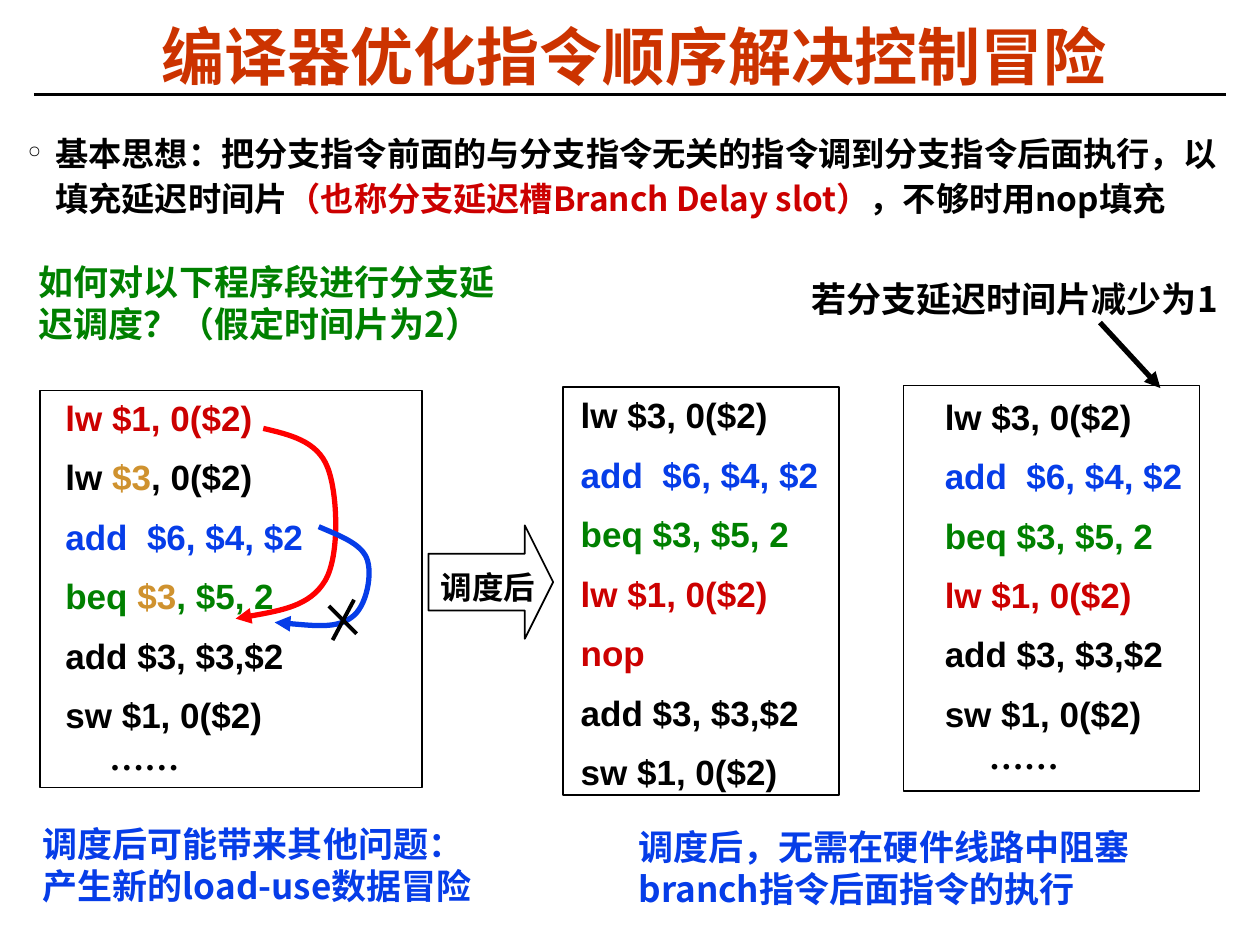
from lxml.etree import SubElement as Sub
from pptx import Presentation
from pptx.dml.color import RGBColor as RGB
from pptx.enum.shapes import MSO_CONNECTOR as Link, MSO_SHAPE as Shape
from pptx.enum.text import PP_ALIGN as Align
from pptx.oxml.ns import qn
from pptx.util import Inches, Pt

INK = {"black": "000000", "rust": "CC3300", "red": "CC0000", "green": "008000",
       "blue": "063DE8", "gold": "CF922F", "bright": "FF0000"}
SANS = "Noto Sans CJK SC"
LOAD1 = [("lw $1, 0($2)", "red")]
LOAD3 = [("lw $3, 0($2)", "black")]
SUM6 = [("add  $6, $4, $2", "blue")]
JUMP = [("beq $3, $5, 2", "green")]
TAIL = [[("add $3, $3,$2", "black")], [("sw $1, 0($2)", "black")]]
DOTS = [("……", "black")]
FIRST = [LOAD1,
         [("lw ", "black"), ("$3", "gold"), (", 0($2)", "black")],
         SUM6,
         [("beq ", "green"), ("$3", "gold"), (", $5, 2", "green")],
         *TAIL, DOTS]
SLOTS = [LOAD3, SUM6, JUMP, LOAD1, [("nop", "red")], *TAIL]
SHORT = [LOAD3, SUM6, JUMP, LOAD1, *TAIL, DOTS]


def color(name):
    return RGB.from_string(INK[name])


def frame(slide, box, inset=(0.1, 0.05)):
    text = slide.shapes.add_textbox(*map(Inches, box)).text_frame
    text.word_wrap = True
    text.margin_left = text.margin_right = Inches(inset[0])
    text.margin_top = text.margin_bottom = Inches(inset[1])
    return text


def fill_line(para, runs, size, face=SANS, east=SANS):
    font = para.font
    font.size, font.bold, font.name = Pt(size), True, face
    if len(runs) == 1:
        font.color.rgb = color(runs[0][1])
    Sub(para._p.pPr.find(qn("a:defRPr")), qn("a:ea"), typeface=east)
    for words, ink in runs:
        run = para.add_run()
        run.text = words
        if len(runs) > 1:
            run.font.color.rgb = color(ink)


def style(shape, ink, width):
    shape.line.color.rgb = color(ink)
    shape.line.width = Pt(width)


def arrow(shape):
    Sub(shape._element.spPr.find(qn("a:ln")), qn("a:tailEnd"), type="triangle")


def line(slide, start, end, width, head=False):
    link = slide.shapes.add_connector(Link.STRAIGHT, *map(Inches, start + end))
    style(link, "black", width)
    if head:
        arrow(link)
    Sub(link._element.spPr, qn("a:effectLst"))


def outline(slide, kind, box):
    shape = slide.shapes.add_shape(kind, *map(Inches, box))
    shape.shadow.inherit = False
    shape.fill.background()
    style(shape, "black", 1)
    return shape


def title(slide, box):
    para = frame(slide, box, (0.07, 0.03)).paragraphs[0]
    para.alignment = Align.CENTER
    para.line_spacing = Pt(41)
    fill_line(para, [("编译器优化指令顺序解决控制冒险", "rust")], 36, "Arial")
    line(slide, (0.27, 0.75), (9.73, 0.75), 1.5)


def idea(slide, box):
    para = frame(slide, box, (0.07, 0.03)).paragraphs[0]
    para.line_spacing = Pt(25.7)
    props = para._p.get_or_add_pPr()
    props.set("marL", str(Inches(0.22)))
    props.set("indent", str(Inches(-0.22)))
    Sub(props, qn("a:buChar"), char="°")
    fill_line(para, [
        ("基本思想：把分支指令前面的与分支指令无关的指令调到分支指令后面执行，以填充延迟时间片", "black"),
        ("（也称分支延迟槽Branch Delay slot）", "red"),
        ("，不够时用nop填充", "black")], 19)


def note(slide, box, words, ink):
    para = frame(slide, box).paragraphs[0]
    para.line_spacing = Pt(24)
    fill_line(para, [(words, ink)], 20)


def code(slide, box, rows, area):
    text = frame(slide, area)
    for i, runs in enumerate(rows):
        para = text.add_paragraph() if i else text.paragraphs[0]
        if runs is DOTS:
            para._p.get_or_add_pPr().set("marL", str(Inches(0.35)))
            fill_line(para, runs, 20, "Times New Roman", "Times New Roman")
            continue
        para.line_spacing = 1.2
        if i:
            para.space_before = Pt(5.2)
        fill_line(para, runs, 20, "Arial")
    outline(slide, Shape.RECTANGLE, box)


def curve(slide, points, ink):
    spots = [(Inches(x), Inches(y)) for x, y in points]
    pen = slide.shapes.build_freeform(*spots[0])
    pen.add_line_segments(spots[1:], close=False)
    shape = pen.convert_to_shape()
    trail = next(shape._element.iter(qn("a:path")))
    steps = trail.findall(qn("a:lnTo"))
    for i in range(0, len(steps), 3):
        bend = Sub(trail, qn("a:cubicBezTo"))
        for step in steps[i:i + 3]:
            bend.append(step[0])
            trail.remove(step)
    shape.shadow.inherit = False
    shape.fill.background()
    style(shape, ink, 3)
    arrow(shape)


def moves(slide):
    curve(slide, [(2.09, 3.4), (2.3, 3.45), (2.52, 3.5), (2.6, 3.71),
                  (2.68, 3.91), (2.7, 4.41), (2.58, 4.61),
                  (2.46, 4.81), (2.16, 4.86), (1.87, 4.91)], "bright")
    curve(slide, [(2.53, 4.18), (2.69, 4.25), (2.86, 4.31), (2.91, 4.43),
                  (2.96, 4.55), (2.91, 4.82), (2.79, 4.9),
                  (2.67, 4.99), (2.43, 4.96), (2.18, 4.94)], "blue")
    line(slide, (2.81, 4.76), (2.64, 5.08), 2.25)
    line(slide, (2.61, 4.81), (2.83, 5.03), 2.25)


def step(slide, box):
    shape = outline(slide, Shape.RIGHT_ARROW, box)
    shape.adjustments[0], shape.adjustments[1] = 0.5, 0.25
    left, top, width, _ = box
    para = frame(slide, (left, top + 0.27, width + 0.11, 0.4)).paragraphs[0]
    para.line_spacing = Pt(23)
    fill_line(para, [("调度后", "black")], 18, "Times New Roman")


def main():
    deck = Presentation()
    deck.slide_width, deck.slide_height = Inches(10), Inches(7.5)
    slide = deck.slides.add_slide(deck.slide_layouts[6])
    title(slide, (0.91, 0.14, 8.25, 0.58))
    idea(slide, (0.15, 0.99, 9.65, 0.78))
    note(slide, (0.21, 2.02, 4.02, 0.77),
         "如何对以下程序段进行分支延迟调度？（假定时间片为2）", "green")
    note(slide, (6.34, 2.15, 3.51, 0.43), "若分支延迟时间片减少为1", "black")
    code(slide, (0.32, 3.1, 3.03, 3.15), FIRST, (0.42, 3.03, 2.18, 3.66))
    code(slide, (4.47, 3.07, 2.19, 3.24), SLOTS, (4.51, 3.01, 2.32, 3.29))
    code(slide, (7.17, 3.06, 2.35, 3.22), SHORT, (7.4, 3.02, 2.6, 3.66))
    moves(slide)
    step(slide, (3.4, 4.17, 0.99, 0.9))
    line(slide, (8.73, 2.56), (9.21, 3.08), 3, head=True)
    note(slide, (0.24, 6.48, 3.74, 0.77),
         "调度后可能带来其他问题：产生新的load-use数据冒险", "blue")
    note(slide, (4.97, 6.5, 4.46, 0.77),
         "调度后，无需在硬件线路中阻塞branch指令后面指令的执行", "blue")
    deck.save("out.pptx")


if __name__ == "__main__":
    main()
